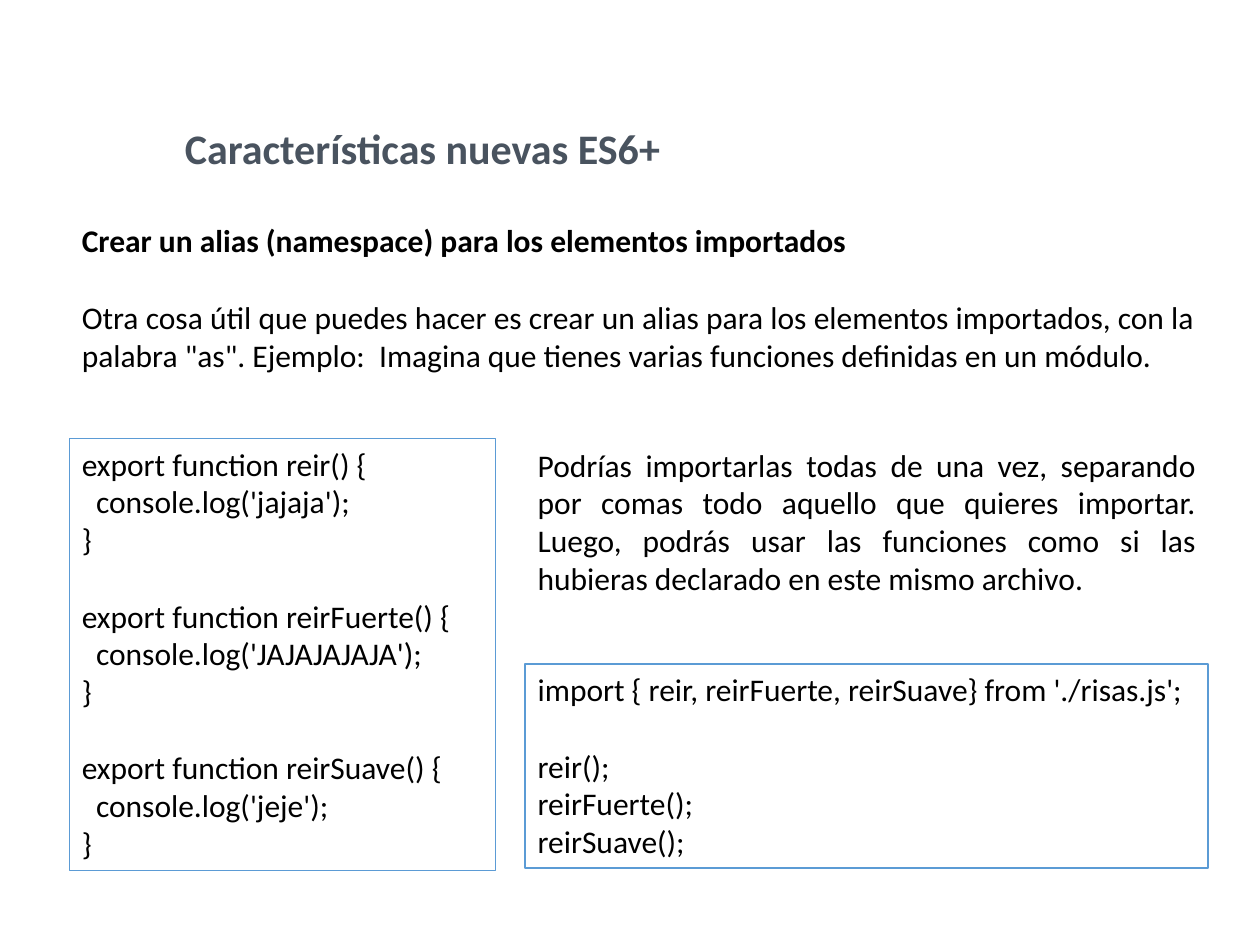
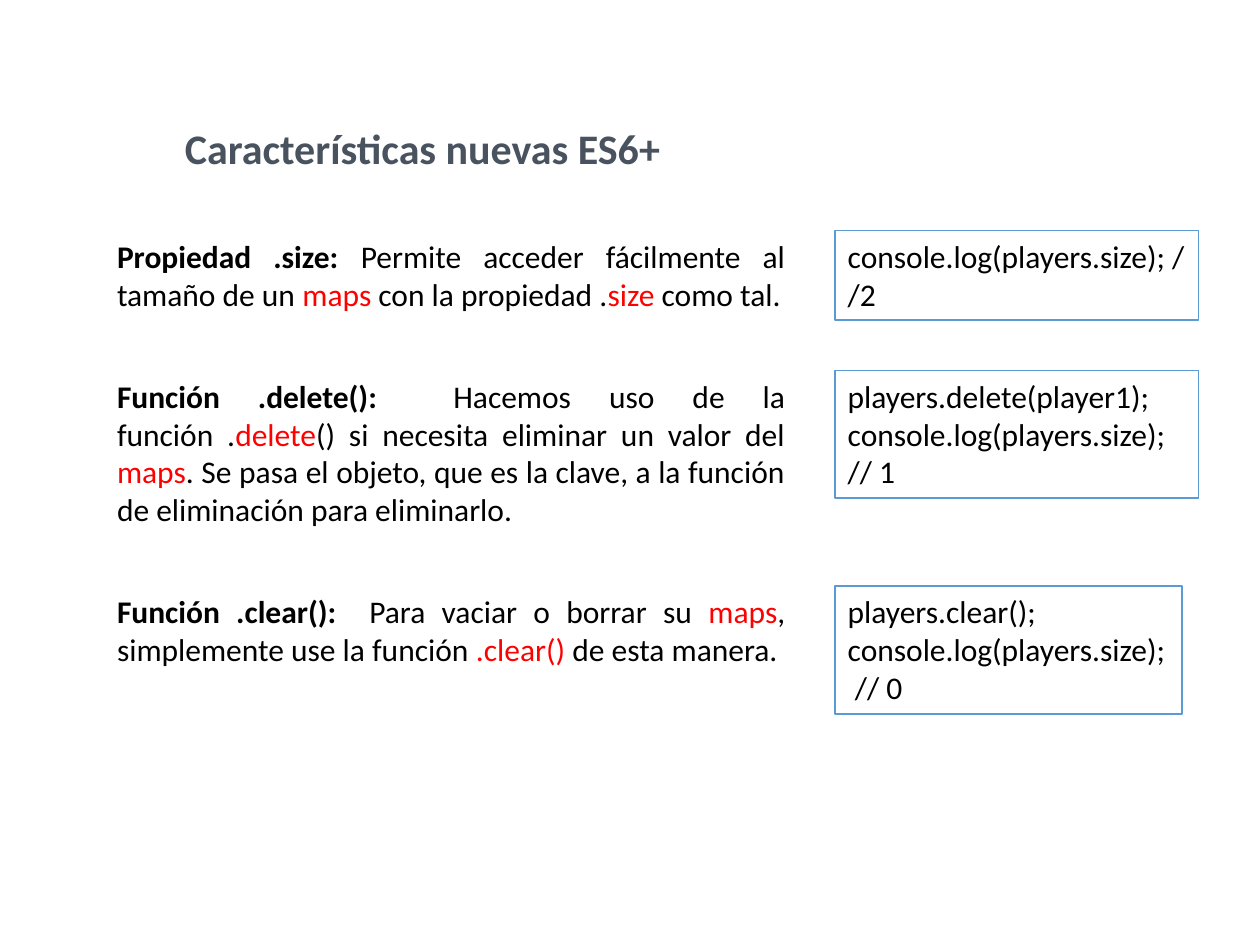
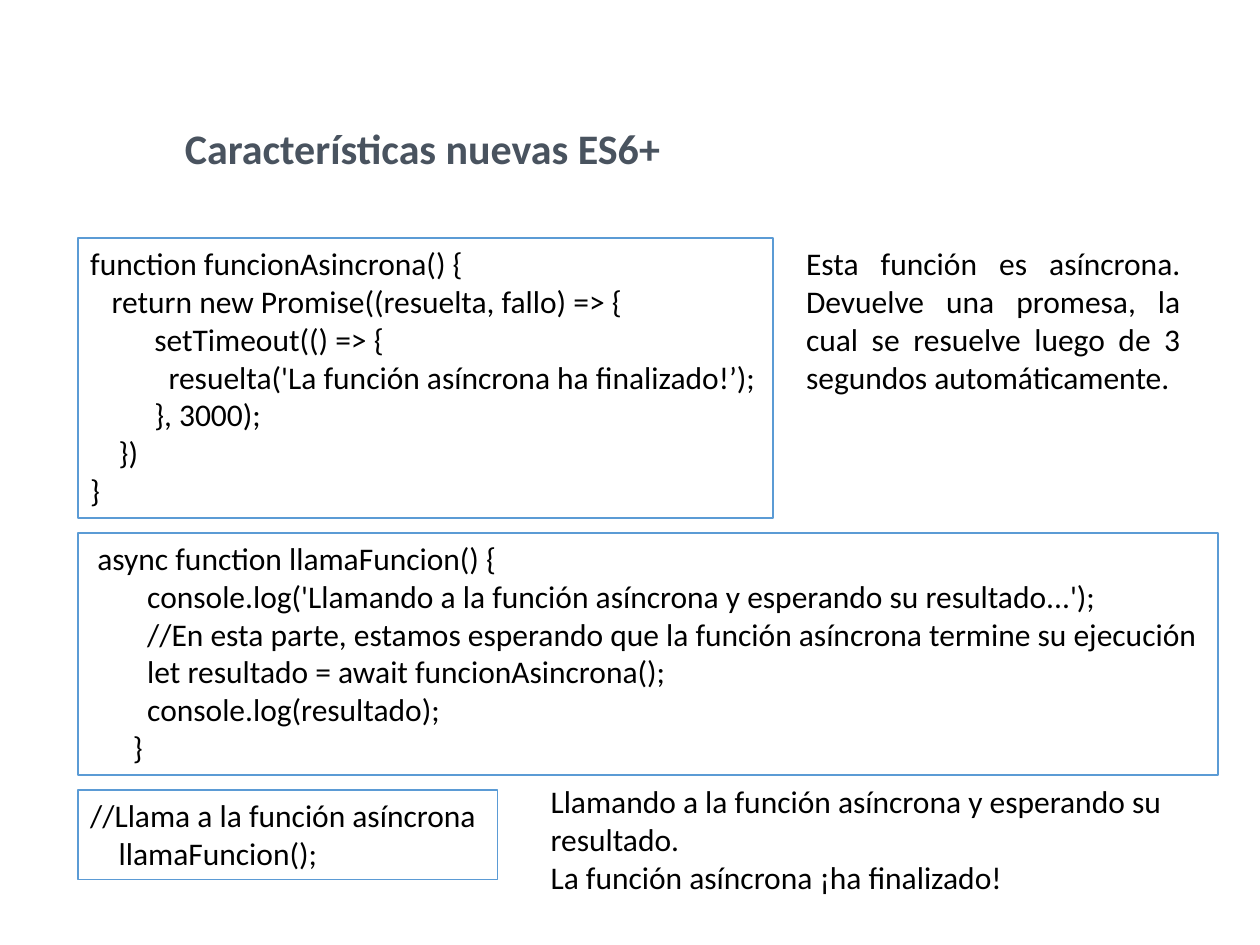
from pptx import Presentation
from pptx.dml.color import RGBColor
from pptx.enum.shapes import MSO_SHAPE
from pptx.enum.text import MSO_ANCHOR, MSO_AUTO_SIZE, PP_ALIGN
from pptx.util import Cm, Pt


def color(hex_value):
    return RGBColor.from_string(hex_value)


class Deck:
    FONT = "Calibri"
    TITLE = "49535F"
    INK = "000000"
    ACCENT = "FF0000"
    PAPER = "FFFFFF"
    BORDER = "5B9BD5"
    BODY_SIZE = 18
    TITLE_SIZE = 24
    BLANK_LINE = Pt(22)
    SPACE_WIDTH = 4.07  # points taken by one space of code at body size

    def __init__(self):
        self.presentation = Presentation()
        self.presentation.slide_width = Cm(25.4)
        self.presentation.slide_height = Cm(19.05)
        self.slide = None

    def new_slide(self, title):
        self.slide = self.presentation.slides.add_slide(self.presentation.slide_layouts[6])
        frame = self.text_box(3.48, 2.34, 19.18, 1.27)
        frame.text = title
        self.style(frame.paragraphs[0].runs[0], self.TITLE_SIZE, self.TITLE, True)

    def style(self, run, size=BODY_SIZE, hex_value=INK, bold=False):
        run.font.name = self.FONT
        run.font.size = Pt(size)
        run.font.bold = bold
        run.font.color.rgb = color(hex_value)

    def fit(self, frame):
        frame.word_wrap = True
        frame.auto_size = MSO_AUTO_SIZE.SHAPE_TO_FIT_TEXT
        frame.vertical_anchor = MSO_ANCHOR.TOP

    def text_box(self, left, top, width, height):
        shape = self.slide.shapes.add_textbox(Cm(left), Cm(top), Cm(width), Cm(height))
        self.fit(shape.text_frame)
        return shape.text_frame

    def body(self, left, top, width, height, text, align=PP_ALIGN.JUSTIFY):
        """Plain text, one paragraph per line."""
        frame = self.text_box(left, top, width, height)
        frame.text = text
        for paragraph in frame.paragraphs:
            paragraph.alignment = align
            for run in paragraph.runs:
                self.style(run)
        return frame

    def definition(self, left, top, width, height, term, parts):
        """A bold term, then parts that alternate between plain and accent."""
        frame = self.body(left, top, width, height, term)
        paragraph = frame.paragraphs[0]
        paragraph.runs[0].font.bold = True
        for index, part in enumerate(parts):
            run = paragraph.add_run()
            run.text = part
            self.style(run, hex_value=self.ACCENT if index % 2 else self.INK)

    def code(self, left, top, width, height, lines):
        """Framed code: leading spaces become indents, empty lines become gaps."""
        shape = self.slide.shapes.add_shape(
            MSO_SHAPE.RECTANGLE, Cm(left), Cm(top), Cm(width), Cm(height))
        shape.shadow.inherit = False
        shape.fill.solid()
        shape.fill.fore_color.rgb = color(self.PAPER)
        shape.line.color.rgb = color(self.BORDER)
        shape.line.width = Pt(1)
        frame = shape.text_frame
        self.fit(frame)
        frame.text = "\n".join(line.lstrip() for line in lines if line)
        numbers = [number for number, line in enumerate(lines) if line]
        for number, paragraph in zip(numbers, frame.paragraphs):
            line = lines[number]
            paragraph.alignment = PP_ALIGN.LEFT
            spaces = len(line) - len(line.lstrip())
            if spaces:
                properties = paragraph._p.get_or_add_pPr()
                properties.set("marL", str(int(Pt(spaces * self.SPACE_WIDTH))))
            if number and not lines[number - 1]:
                paragraph.space_before = self.BLANK_LINE
            self.style(paragraph.runs[0])


deck = Deck()
TITLE = "Características nuevas ES6+"

# Slide 1: import aliases
deck.new_slide(TITLE)
intro = deck.body(
    1.4, 4.34, 22.94, 3.33,
    "Crear un alias (namespace) para los elementos importados\n"
    "Otra cosa útil que puedes hacer es crear un alias para los elementos importados, "
    "con la palabra \"as\". Ejemplo:  Imagina que tienes varias funciones definidas "
    "en un módulo.")
intro.paragraphs[0].runs[0].font.bold = True
intro.paragraphs[1].space_before = Deck.BLANK_LINE

laughs = [("reir", "jajaja"), ("reirFuerte", "JAJAJAJAJA"), ("reirSuave", "jeje")]
module_lines = []
for name, sound in laughs:
    module_lines += [f"export function {name}() {{", f"  console.log('{sound}');", "}", ""]
deck.code(1.4, 8.84, 8.59, 8.71, module_lines[:-1])
deck.body(
    10.59, 8.86, 13.77, 3.33,
    "Podrías importarlas todas de una vez, separando por comas todo aquello que quieres "
    "importar. Luego, podrás usar las funciones como si las hubieras declarado en este "
    "mismo archivo.")
deck.code(10.59, 13.39, 13.77, 4.11, [
    "import { reir, reirFuerte, reirSuave} from './risas.js';",
    "",
    *[f"{name}();" for name, sound in laughs],
])

# Slide 2: map members, each with its example
deck.new_slide(TITLE)
members = [
    (4.65, 1.8, "Propiedad .size: ",
     ["Permite acceder fácilmente al tamaño de un ", "maps", " con la propiedad .",
      "size", " como tal."],
     7.32, 1.8, ["console.log(players.size); //2 "]),
    (7.47, 3.33, "Función .delete():",
     ["  Hacemos uso de la función .", "delete", "() si necesita eliminar un valor del ",
      "maps", ". Se pasa el objeto, que es la clave, a la función de eliminación "
      "para eliminarlo."],
     7.32, 2.57, ["players.delete(player1); ", "console.log(players.size); ", "// 1"]),
    (11.82, 1.8, "Función .clear():",
     ["  Para vaciar o borrar su ", "maps", ", simplemente use la función ",
      ".clear()", " de esta manera."],
     6.99, 2.57, ["players.clear(); ", "console.log(players.size); ", " // 0 "]),
]
for top, text_height, term, parts, code_width, code_height, lines in members:
    deck.definition(2.11, top, 13.97, text_height, term, parts)
    deck.code(16.84, top, code_width, code_height, lines)

# Slide 3: asynchronous functions
deck.new_slide(TITLE)
deck.code(1.57, 4.8, 14.02, 5.64, [
    "function funcionAsincrona() {",
    "   return new Promise((resuelta, fallo) => {",
    "         setTimeout(() => {",
    "           resuelta('La función asíncrona ha finalizado!’);",
    "         }, 3000);",
    "    })",
    "}",
])
deck.body(
    16, 4.8, 8.05, 3.33,
    "Esta función es asíncrona. Devuelve una promesa, la cual se resuelve luego de "
    "3 segundos automáticamente.")
deck.code(1.57, 10.74, 22.99, 4.88, [
    " async function llamaFuncion() {",
    "        console.log('Llamando a la función asíncrona y esperando su resultado...');",
    "        //En esta parte, estamos esperando que la función asíncrona termine su ejecución",
    "        let resultado = await funcionAsincrona();",
    "        console.log(resultado);",
    "      }",
])
deck.code(1.57, 15.93, 8.46, 1.8, [
    "//Llama a la función asíncrona",
    "    llamaFuncion();",
])
deck.body(
    10.85, 15.65, 13.72, 2.57,
    "Llamando a la función asíncrona y esperando su resultado.\n"
    "La función asíncrona ¡ha finalizado!",
    PP_ALIGN.LEFT)

deck.presentation.save("out.pptx")
